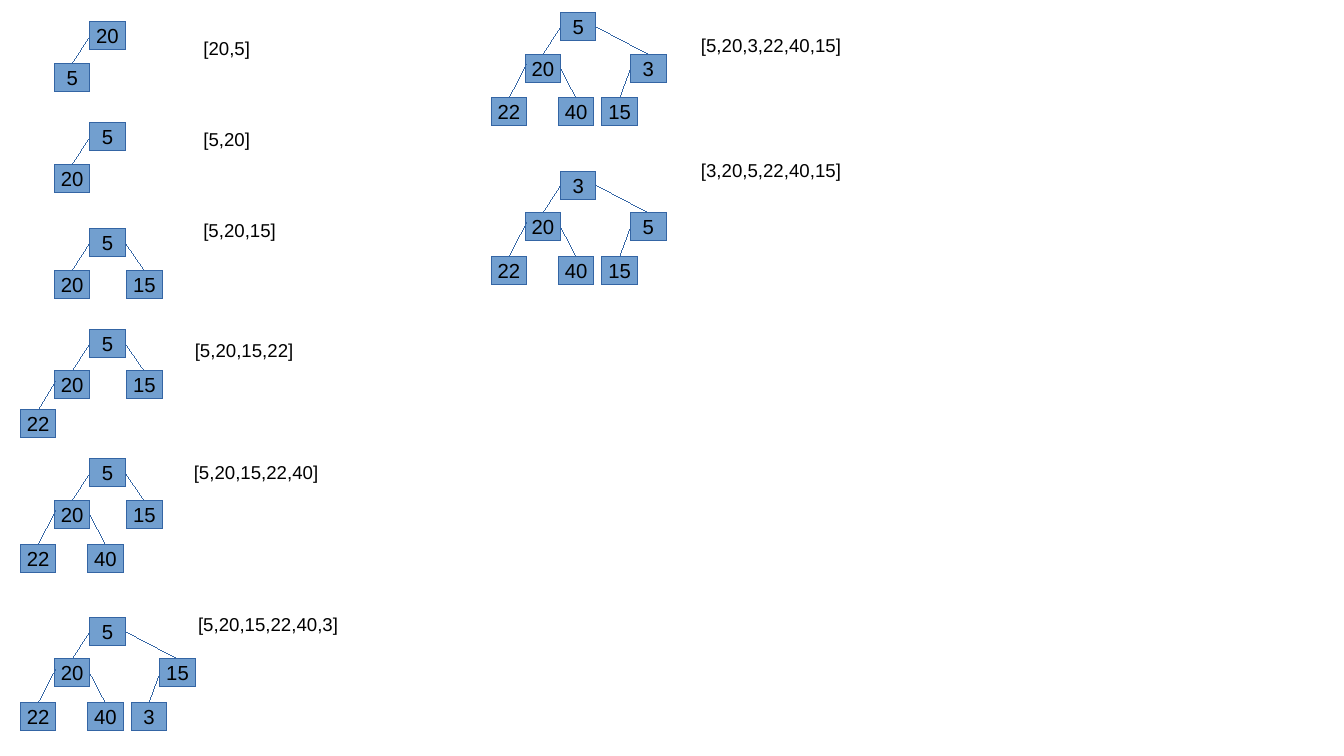
"""Draw the steps of building a min heap as small trees."""
from lxml.etree import SubElement
from pptx import Presentation
from pptx.dml.color import RGBColor
from pptx.enum.shapes import MSO_CONNECTOR, MSO_SHAPE
from pptx.enum.text import MSO_ANCHOR, MSO_AUTO_SIZE, PP_ALIGN
from pptx.oxml.ns import qn
from pptx.util import Inches, Pt

BLUE = RGBColor(0x72, 0x9F, 0xCF)
EDGE = RGBColor(0x34, 0x65, 0xA4)
BLACK = RGBColor(0, 0, 0)
COL, ROW = Inches(0.29), Inches(0.23)
LEFT, RIGHT = 2.54, 15.85
SHIFTS = [0, -1, 1.04, -1.96, -0.06, 1.17]
WIDE = 1.98
DROPS = [0, 1.48, 3.04]
SHORT = 2.87
NUDGE = {3: (0.03, -0.13)}

STEPS = [
    ([20, 5], (LEFT, 0.78), (5.41, 1.09)),
    ([5, 20], (LEFT, 4.38), (5.41, 4.35)),
    ([5, 20, 15], (LEFT, 8.15), (5.41, 7.6)),
    ([5, 20, 15, 22], (LEFT, 11.74), (5.17, 11.87)),
    ([5, 20, 15, 22, 40], (LEFT, 16.36), (5.14, 16.22)),
    ([5, 20, 15, 22, 40, 3], (LEFT, 22.01), (5.26, 21.65)),
    ([5, 20, 3, 22, 40, 15], (RIGHT, 0.45), (19.48, 1)),
    ([3, 20, 5, 22, 40, 15], (RIGHT, 6.1), (19.48, 5.45)),
]


def place(col, row):
    return round(col * COL), round(row * ROW)


def write(shape, text, size):
    frame = shape.text_frame
    frame.text = text
    frame.word_wrap = False
    font = frame.paragraphs[0].runs[0].font
    font.name, font.size = "Arial", Pt(size)
    font.color.rgb = BLACK
    return frame


def trace(shape):
    shape.line.color.rgb = EDGE
    shape.line._get_or_add_ln().set("w", "0")


def add_node(slide, value, col, row):
    node = slide.shapes.add_shape(
        MSO_SHAPE.FLOWCHART_PROCESS, *place(col, row), COL, ROW)
    node.shadow.inherit = False
    node.fill.solid()
    node.fill.fore_color.rgb = BLUE
    trace(node)
    frame = write(node, str(value), 12)
    frame.vertical_anchor = MSO_ANCHOR.MIDDLE
    frame.paragraphs[0].alignment = PP_ALIGN.CENTER


def add_link(slide, start, end):
    link = slide.shapes.add_connector(
        MSO_CONNECTOR.STRAIGHT, *place(*start), *place(*end))
    trace(link)
    SubElement(link._element.spPr, qn("a:effectLst"))


def add_label(slide, heap, col, row):
    text = "[" + ",".join(map(str, heap)) + "]"
    size = place(0.65 + 0.24 * len(text), 1.17)
    label = slide.shapes.add_textbox(*place(col, row), *size)
    write(label, text, 11).auto_size = MSO_AUTO_SIZE.SHAPE_TO_FIT_TEXT


def find_spot(heap, index, root):
    shift = SHIFTS[index]
    drop = DROPS[(index + 1).bit_length() - 1]
    if index == 2 and len(heap) == 6:
        shift = WIDE
    if index == 3 and len(heap) == 4:
        drop = SHORT
    return root[0] + shift, root[1] + drop


def add_tree(slide, heap, root):
    for index, value in enumerate(heap):
        col, row = find_spot(heap, index, root)
        add_node(slide, value, col, row)
        if index:
            left, top = find_spot(heap, (index - 1) // 2, root)
            side = 1 - index % 2
            across, down = NUDGE.get(index, (0, 0))
            end = left + side + across, top + 0.5 + down
            add_link(slide, (col + 0.5, row), end)


def main():
    deck = Presentation()
    deck.slide_width, deck.slide_height = Inches(11.02), Inches(6.2)
    slide = deck.slides.add_slide(deck.slide_layouts[6])
    for heap, root, spot in STEPS:
        add_tree(slide, heap, root)
        add_label(slide, heap, *spot)
    deck.save("out.pptx")


if __name__ == "__main__":
    main()
